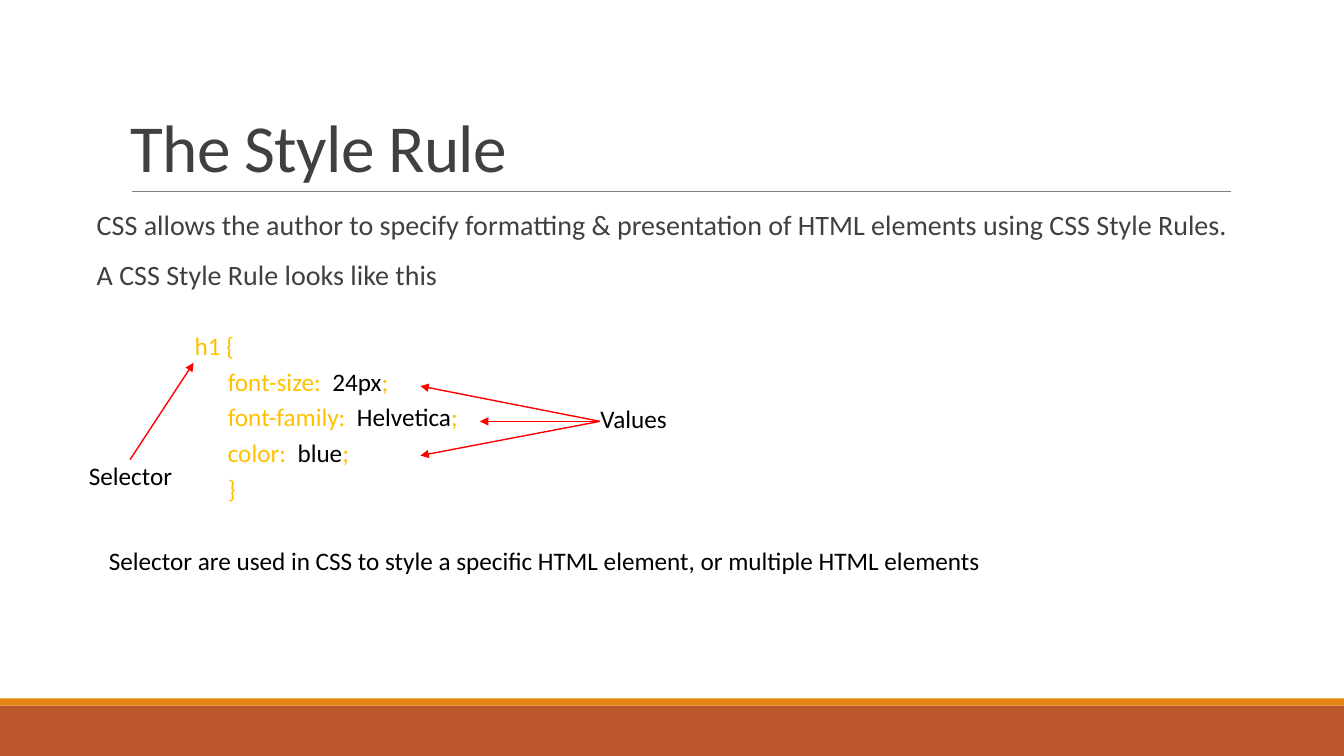
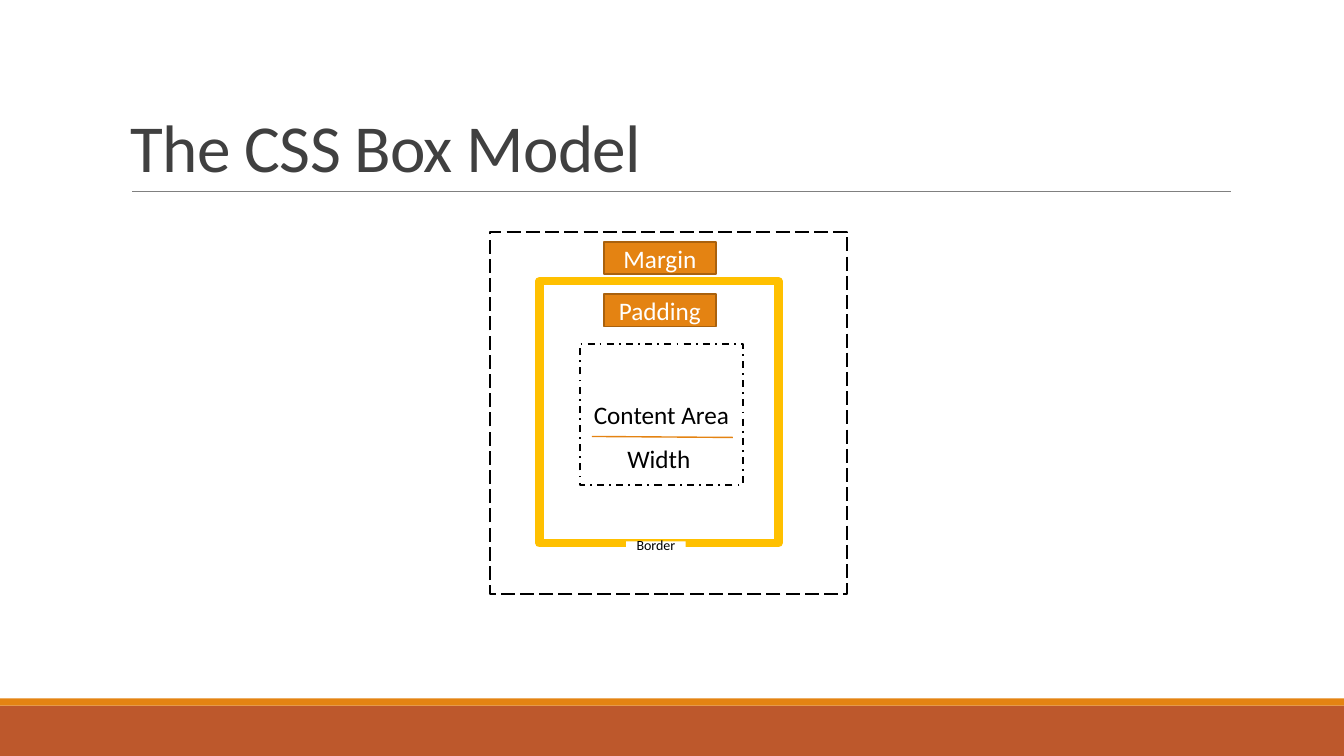
from lxml import etree
from pptx import Presentation
from pptx.dml.color import RGBColor
from pptx.enum.dml import MSO_LINE
from pptx.enum.shapes import MSO_CONNECTOR, MSO_SHAPE
from pptx.enum.text import MSO_ANCHOR, PP_ALIGN
from pptx.oxml.ns import qn
from pptx.util import Inches, Pt

BLACK = RGBColor(0x00, 0x00, 0x00)
WHITE = RGBColor(0xFF, 0xFF, 0xFF)
CHARCOAL = RGBColor(0x40, 0x40, 0x40)
GREY = RGBColor(0x80, 0x80, 0x80)
RUST = RGBColor(0xBD, 0x58, 0x2C)
ORANGE = RGBColor(0xE4, 0x83, 0x12)
BROWN = RGBColor(0xA9, 0x61, 0x0D)
GOLD = RGBColor(0xFF, 0xC0, 0x00)
RED = RGBColor(0xFF, 0x00, 0x00)

INTRO = {"line_spacing": 0.9, "space_before": Pt(12), "space_after": Pt(2)}
CODE = {"line_spacing": 0.9, "space_before": Pt(2), "space_after": Pt(4)}
AFTER_GAP = {**CODE, "space_before": Pt(28)}
CENTERED = {"alignment": PP_ALIGN.CENTER}
TITLE = {"line_spacing": 0.85}


class Painter:
    """Holds the deck style and draws on the current page."""

    font_name = "Calibri"
    width, height = 13.33, 7.5

    def __init__(self):
        """Start an empty widescreen deck."""
        self.deck = Presentation()
        self.deck.slide_width = Inches(self.width)
        self.deck.slide_height = Inches(self.height)
        self.page = None

    def new_page(self, title):
        """Add a page with the shared bands, rule and title."""
        self.page = self.deck.slides.add_slide(self.deck.slide_layouts[6])
        self.rectangle((0, 7, self.width, 0.5), fill=RUST)
        self.rectangle((0, 6.93, self.width, 0.07), fill=ORANGE)
        self.line((1.31, 1.9), (12.21, 1.9), GREY, 0.5)
        frame = self.text_box((1.2, 0.31, 11, 1.59), MSO_ANCHOR.BOTTOM)
        para = self.paragraph(frame, [(title, CHARCOAL)], 48, TITLE)
        para.runs[0].font._element.set("spc", "-50")

    def text_box(self, place, anchor=MSO_ANCHOR.TOP, side_margin=0.1):
        """Add a wrapping text box and return its text frame."""
        frame = self.page.shapes.add_textbox(*map(Inches, place)).text_frame
        settings = {
            "word_wrap": True,
            "vertical_anchor": anchor,
            "margin_left": Inches(side_margin),
            "margin_right": Inches(side_margin),
        }
        for name, value in settings.items():
            setattr(frame, name, value)
        return frame

    def paragraph(self, frame, spans, size=18, layout=CENTERED, indent=0):
        """Write coloured spans as the next paragraph of a frame."""
        first = frame.paragraphs[0]
        para = frame.add_paragraph() if first.runs else first
        for name, value in layout.items():
            setattr(para, name, value)
        if indent:
            properties = para._p.get_or_add_pPr()
            properties.set("marL", str(Inches(indent)))
            properties.set("indent", "0")
        for text, color in spans:
            span = para.add_run()
            span.text = text
            font_format = {"name": self.font_name, "size": Pt(size)}
            for name, value in font_format.items():
                setattr(span.font, name, value)
            span.font.color.rgb = color
        return para

    def rectangle(self, place, fill=None, outline=None, weight=1.25, dash=None):
        """Add a rectangle, with a fill and outline where given."""
        box = self.page.shapes.add_shape(MSO_SHAPE.RECTANGLE, *map(Inches, place))
        box.shadow.inherit = False
        if fill is None:
            box.fill.background()
        else:
            box.fill.solid()
            box.fill.fore_color.rgb = fill
        if outline is None:
            box.line.fill.background()
        else:
            box.line.color.rgb = outline
            box.line.width = Pt(weight)
            box.line.dash_style = dash
        return box

    def label(self, box, text, color=BLACK, size=18, margin_top=0.05):
        """Centre a short text inside a shape."""
        frame = box.text_frame
        frame.vertical_anchor = MSO_ANCHOR.MIDDLE
        frame.margin_left = frame.margin_right = 0
        frame.margin_top = Inches(margin_top)
        self.paragraph(frame, [(text, color)], size)

    def line(self, start, end, color, weight=1, arrow=False):
        """Join two points, with an arrowhead at the end if asked."""
        connector = self.page.shapes.add_connector(
            MSO_CONNECTOR.STRAIGHT, *map(Inches, start + end))
        connector.line.color.rgb = color
        connector.line.width = Pt(weight)
        if arrow:
            outline = connector.line._get_or_add_ln()
            etree.SubElement(outline, qn("a:tailEnd"), type="triangle")
        etree.SubElement(connector._element.spPr, qn("a:effectLst"))


def style_rule_page(painter):
    """Explain the parts of a style rule."""
    painter.new_page("The Style Rule")
    body = painter.text_box((0.86, 2.05, 11.4, 4.4), side_margin=0)
    for sentence in (
        "CSS allows the author to specify formatting & presentation of HTML "
        "elements using CSS Style Rules.",
        "A CSS Style Rule looks like this",
    ):
        painter.paragraph(body, [(sentence, CHARCOAL)], 20, INTRO, 0.1)

    painter.paragraph(body, [("h1 {", GOLD)], layout=AFTER_GAP, indent=1.07)
    declarations = {"font-size": "24px", "font-family": "Helvetica", "color": "blue"}
    for name, value in declarations.items():
        spans = [(f"{name}:  ", GOLD), (value, BLACK), (";", GOLD)]
        painter.paragraph(body, spans, layout=CODE, indent=1.4)
    painter.paragraph(body, [("}", GOLD)], layout=CODE, indent=1.4)
    summary = ("Selector are used in CSS to style a specific HTML element, "
               "or multiple HTML elements")
    painter.paragraph(body, [(summary, BLACK)], layout=AFTER_GAP, indent=0.22)

    for text, place in (
        ("Selector", (0.71, 4.59, 1.17, 0.26)),
        ("Values", (5.7, 4.02, 1.17, 0.26)),
    ):
        frame = painter.text_box(place, MSO_ANCHOR.MIDDLE)
        painter.paragraph(frame, [(text, BLACK)])

    painter.line((1.29, 4.56), (1.92, 3.6), RED, arrow=True)
    for tip in ((4.17, 3.83), (4.76, 4.18), (4.17, 4.52)):
        painter.line((5.95, 4.18), tip, RED, arrow=True)


def box_model_page(painter):
    """Draw the nested areas of the box model."""
    painter.new_page("The CSS Box Model")
    painter.rectangle((4.86, 2.3, 3.54, 3.59), WHITE, BLACK, dash=MSO_LINE.LONG_DASH)
    border = painter.rectangle((5.35, 2.79, 2.37, 2.6), WHITE, GOLD, 6)
    painter.label(border, "Width", margin_top=0.97)
    content = painter.rectangle(
        (5.75, 3.41, 1.62, 1.4), outline=BLACK, dash=MSO_LINE.DASH_DOT)
    painter.label(content, "Content Area")
    painter.line((5.87, 4.33), (7.27, 4.34), ORANGE)
    for text, top in (("Padding", 2.92), ("Margin", 2.4)):
        tag = painter.rectangle((5.99, top, 1.11, 0.32), ORANGE, BROWN)
        painter.label(tag, text, WHITE)
    border_tag = painter.rectangle((6.21, 5.37, 0.59, 0.07), WHITE)
    painter.label(border_tag, "Border", size=10)


def main():
    """Build and save the deck."""
    painter = Painter()
    style_rule_page(painter)
    box_model_page(painter)
    painter.deck.save("out.pptx")


main()
